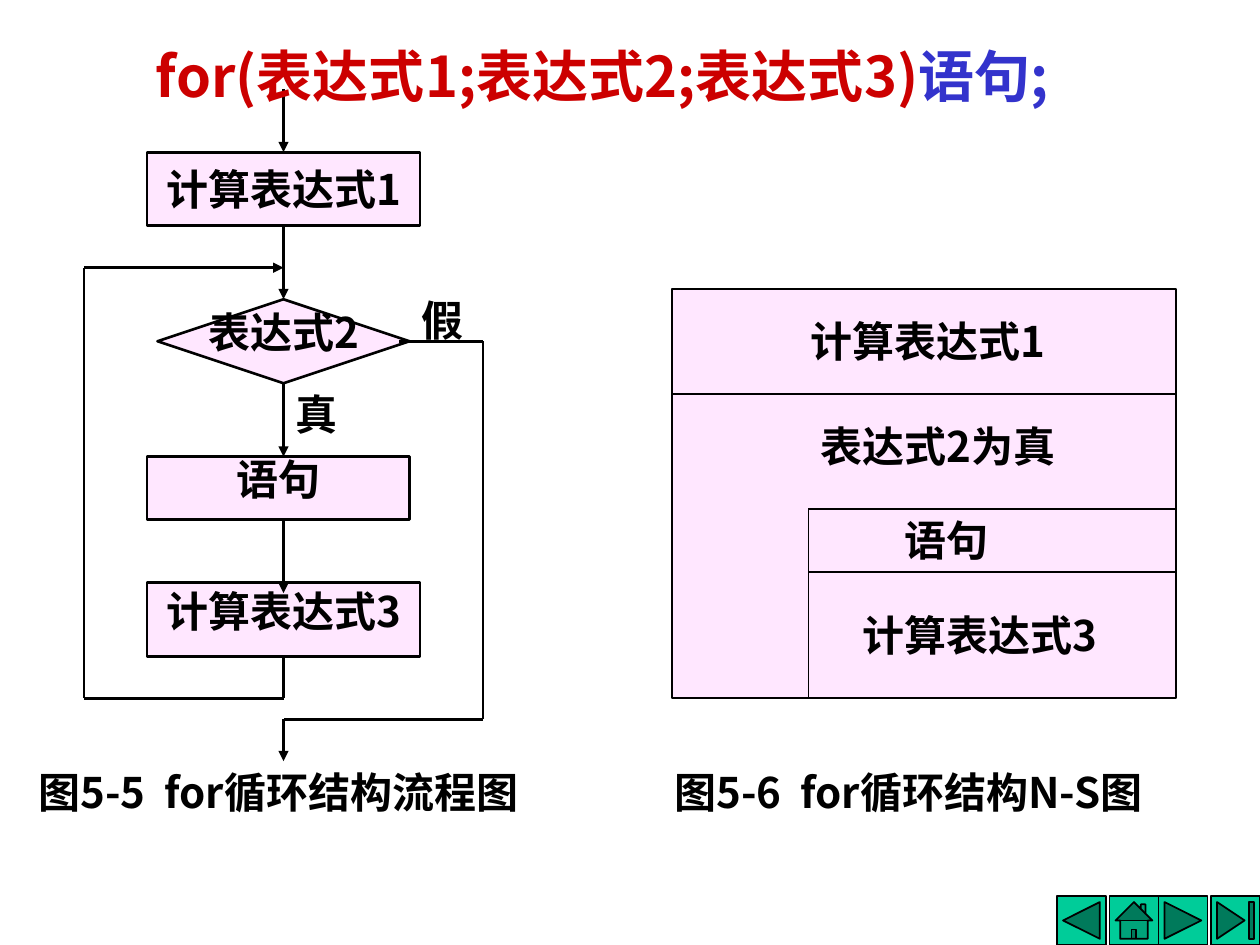
from lxml import etree
from pptx import Presentation
from pptx.dml.color import RGBColor
from pptx.enum.shapes import MSO_CONNECTOR, MSO_SHAPE
from pptx.enum.text import MSO_ANCHOR, MSO_AUTO_SIZE, PP_ALIGN
from pptx.oxml.ns import qn
from pptx.util import Pt

RECT, DIAMOND = MSO_SHAPE.RECTANGLE, MSO_SHAPE.DIAMOND
BACK = MSO_SHAPE.ACTION_BUTTON_BACK_OR_PREVIOUS
HOME = MSO_SHAPE.ACTION_BUTTON_HOME
NEXT = MSO_SHAPE.ACTION_BUTTON_FORWARD_OR_NEXT
END = MSO_SHAPE.ACTION_BUTTON_END
STRAIGHT = MSO_CONNECTOR.STRAIGHT
MIDDLE, GROW = MSO_ANCHOR.MIDDLE, MSO_AUTO_SIZE.SHAPE_TO_FIT_TEXT
LEFT, CENTER, JUSTIFY = PP_ALIGN.LEFT, PP_ALIGN.CENTER, PP_ALIGN.JUSTIFY
TOP, BOTTOM = 0, 2

FONT = "Noto Sans CJK SC"
BLACK, PINK, GREEN, RED, BLUE = "000000", "FFE7FF", "00CC99", "CC0000", "3333CC"


def color(value):
    return RGBColor.from_string(value)


def write(tf, runs, size=24, align=CENTER, spacing=0.5):
    p = tf.paragraphs[0]
    p.alignment, p.line_spacing = align, spacing
    for text, value in runs:
        r = p.add_run()
        r.text = text
        r.font.name, r.font.size, r.font.bold = FONT, Pt(size), True
        r.font.color.rgb = color(value)
        ea = etree.SubElement(r.font._element, qn("a:ea"))
        ea.set("typeface", FONT)


def add_shape(slide, kind, x, y, w, h, fill=PINK, width=1.5):
    s = slide.shapes.add_shape(kind, Pt(x), Pt(y), Pt(w), Pt(h))
    s.shadow.inherit = False
    s.fill.solid()
    s.fill.fore_color.rgb = color(fill)
    s.line.color.rgb = color(BLACK)
    s.line.width = Pt(width)
    return s


def add_step(slide, kind, x, y, w, h, text, spacing=0.5):
    s = add_shape(slide, kind, x, y, w, h)
    tf = s.text_frame
    tf.margin_left = tf.margin_right = tf.margin_top = tf.margin_bottom = 0
    tf.word_wrap = False
    tf.vertical_anchor = MIDDLE
    write(tf, [(text, BLACK)], spacing=spacing)
    return s


def add_label(slide, x, y, w, text, align=JUSTIFY):
    s = slide.shapes.add_textbox(Pt(x), Pt(y), Pt(w), Pt(21.6))
    s.text_frame.word_wrap = True
    s.text_frame.auto_size = GROW
    write(s.text_frame, [(text, BLACK)], align=align)


def add_line(slide, x1, y1, x2, y2, width=1.5, arrow=False):
    s = slide.shapes.add_connector(STRAIGHT, Pt(x1), Pt(y1), Pt(x2), Pt(y2))
    s.line.color.rgb = color(BLACK)
    s.line.width = Pt(width)
    if arrow:
        etree.SubElement(s.line._get_or_add_ln(), qn("a:tailEnd"), type="triangle")
    etree.SubElement(s._element.spPr, qn("a:effectLst"))
    return s


def add_title(slide, x, y, w, h):
    s = slide.shapes.add_textbox(Pt(x), Pt(y), Pt(w), Pt(h))
    s.text_frame.word_wrap = True
    s.text_frame.vertical_anchor = MIDDLE
    runs = [("for(表达式1;表达式2;表达式3)", RED), ("语句;", BLUE)]
    write(s.text_frame, runs, size=32, align=JUSTIFY, spacing=1.35)


def add_flowchart(slide, x, y, w, h):
    mid, right, bottom = x + 114, x + w, y + h
    merge_y, false_y = y + 102, y + 144
    loop_y, exit_y = bottom - 36, bottom - 24

    # Steps
    body = add_step(slide, RECT, mid - 78, y + 210, 150, 36, "语句")
    update = add_step(slide, RECT, mid - 78, y + 282, 156, 42, "计算表达式3")
    init = add_step(slide, RECT, mid - 78, y + 36, 156, 42, "计算表达式1", 1)
    test = add_step(slide, DIAMOND, mid - 72, y + 120, 144, 48, "表达式2")

    # Main path downwards
    s = add_line(slide, mid, y + 78, mid, y + 120, arrow=True)
    s.begin_connect(init, BOTTOM)
    s.end_connect(test, TOP)
    s = add_line(slide, mid, y, mid, y + 36, arrow=True)
    s.end_connect(init, TOP)
    s = add_line(slide, mid, y + 168, mid, y + 210, arrow=True)
    s.begin_connect(test, BOTTOM)
    add_line(slide, mid, y + 246, mid, y + 288, arrow=True)

    # False branch to the exit
    add_line(slide, right - 48, false_y, right, false_y)
    add_line(slide, right, false_y, right, exit_y)
    add_line(slide, right, exit_y, mid, exit_y)
    add_line(slide, mid, exit_y, mid, bottom, arrow=True)

    # Loop back to the test
    s = add_line(slide, mid, y + 324, mid, loop_y)
    s.begin_connect(update, BOTTOM)
    add_line(slide, mid, loop_y, x, loop_y)
    add_line(slide, x, loop_y, x, merge_y)
    add_line(slide, x, merge_y, mid, merge_y, arrow=True)

    # Branch labels
    add_label(slide, mid + 72, y + 126, 48, "假")
    add_label(slide, mid, y + 180, 42, "真")


def add_ns_diagram(slide, x, y, w, h):
    right, bottom, inner = x + w, y + h, x + 78
    add_shape(slide, RECT, x, y, w, h, width=1)

    # Dividers
    for x1, y1, x2, y2 in [(x, y + 60, right, y + 60),
                           (inner, y + 126, right, y + 126),
                           (inner, y + 126, inner, bottom),
                           (inner, y + 162, right, y + 162)]:
        add_line(slide, x1, y1, x2, y2, width=1)

    # Cell texts
    add_label(slide, x + 72, y + 24, 210, "计算表达式1", LEFT)
    add_label(slide, inner, y + 84, 204, "表达式2为真")
    add_label(slide, x + 126, y + 138, 132, "语句")
    add_label(slide, x + 102, y + 192, 174, "计算表达式3")


def add_navigation(slide, x, y, size):
    for dx, kind in [(0, BACK), (30, HOME), (58, NEXT), (88, END)]:
        add_shape(slide, kind, x + dx, y, size, size, fill=GREEN, width=1)


def main():
    prs = Presentation()
    prs.slide_width, prs.slide_height = Pt(720), Pt(540)
    slide = prs.slides.add_slide(prs.slide_layouts[6])
    add_navigation(slide, 604, 512, 28)
    add_flowchart(slide, 48, 51, 228, 384)
    add_ns_diagram(slide, 384, 165, 288, 234)
    # Captions
    add_label(slide, 0, 447, 318, "图5-5  for循环结构流程图", CENTER)
    add_label(slide, 366, 447, 306, "图5-6  for循环结构N-S图", CENTER)
    add_title(slide, 82, 15, 592.5, 42)
    prs.save("out.pptx")


if __name__ == "__main__":
    main()
